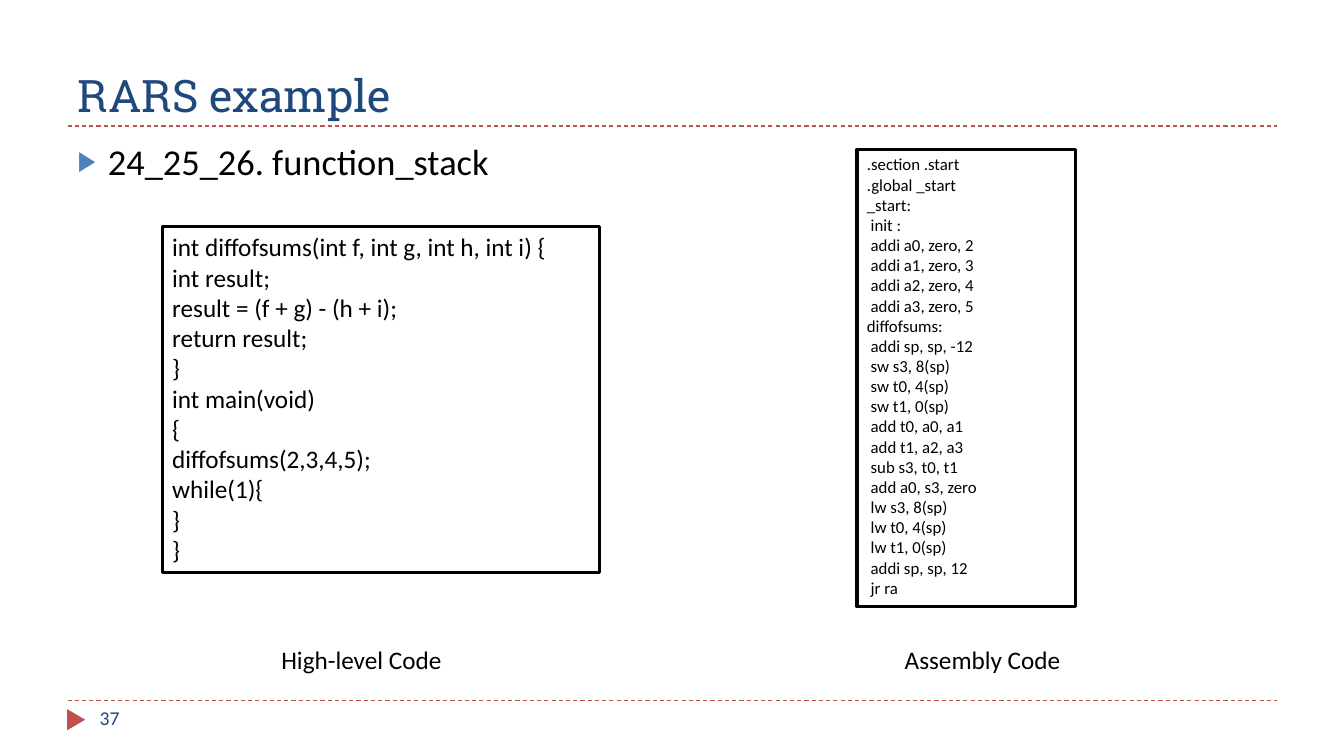
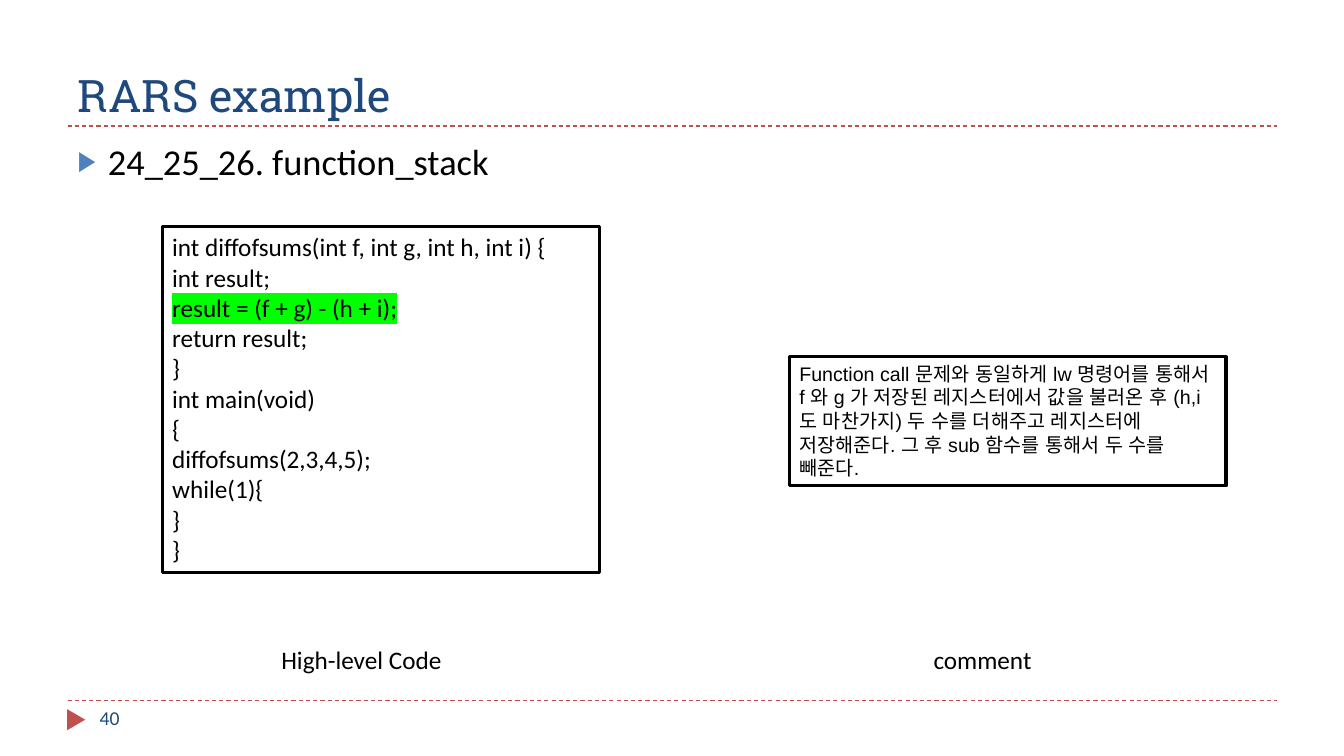
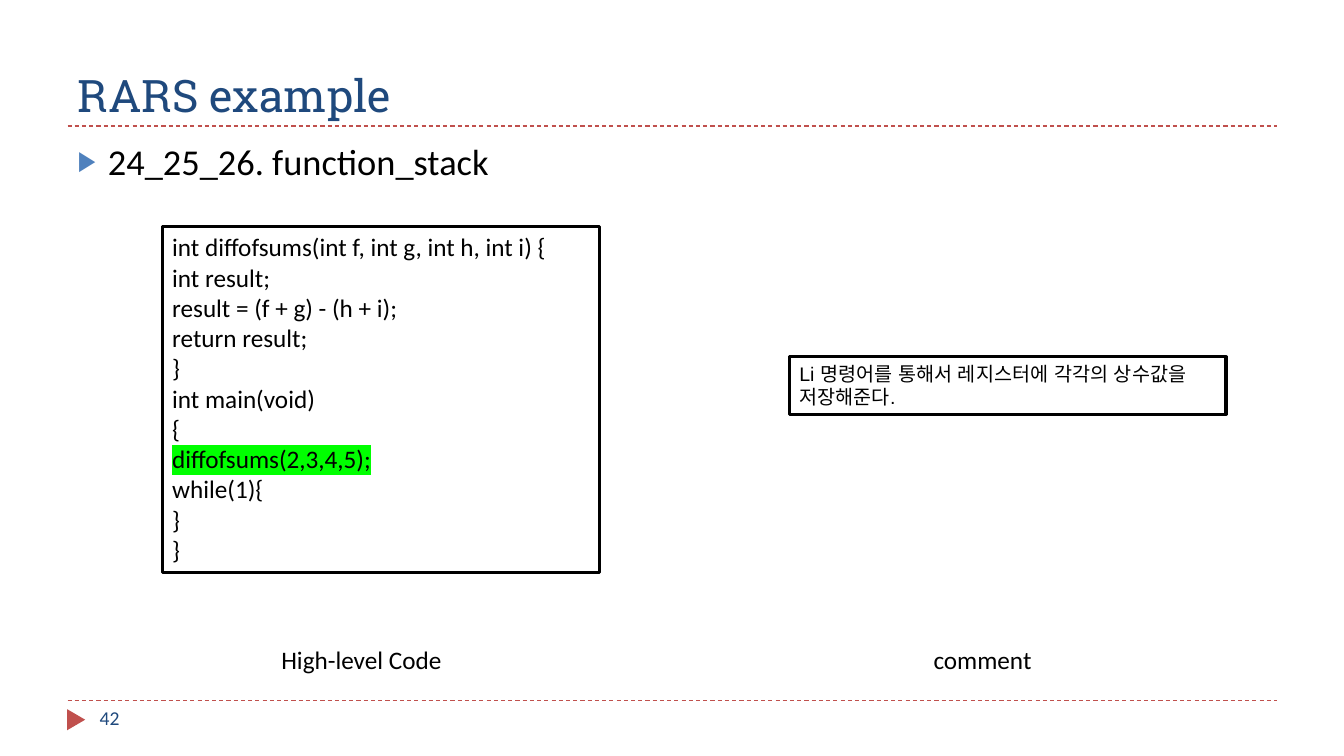
import pptx
import pptx.util
import pptx.dml.color
import pptx.enum.dml
import pptx.enum.shapes
import pptx.enum.text
import pptx.oxml
import pptx.oxml.ns

Inches = pptx.util.Inches
Pt = pptx.util.Pt
RGBColor = pptx.dml.color.RGBColor
Align = pptx.enum.text.PP_ALIGN
qn = pptx.oxml.ns.qn
NS = pptx.oxml.ns.nsdecls("a")

RED = RGBColor(0xC0, 0x50, 0x4D)
NAVY = RGBColor(0x1F, 0x49, 0x7D)
BLUE = RGBColor(0x4F, 0x81, 0xBD)
BLACK = RGBColor(0, 0, 0)
GREEN = RGBColor(0, 0xFF, 0)

SOURCE = """int diffofsums(int f, int g, int h, int i) {
int result;
result = (f + g) - (h + i);
return result;
}
int main(void)
{
diffofsums(2,3,4,5);
while(1){
}
}"""

ASM = """.section .start
.global _start
_start:
 init :
 addi a0, zero, 2
 addi a1, zero, 3
 addi a2, zero, 4
 addi a3, zero, 5
diffofsums:
 addi sp, sp, -12
 sw s3, 8(sp)
 sw t0, 4(sp)
 sw t1, 0(sp)
 add t0, a0, a1
 add t1, a2, a3
 sub s3, t0, t1
 add a0, s3, zero
 lw s3, 8(sp)
 lw t0, 4(sp)
 lw t1, 0(sp)
 addi sp, sp, 12
 jr ra"""

CALL = (
    "Function call 문제와 동일하게 lw 명령어를 통해서 f 와 g 가 저장된 "
    "레지스터에서 값을 불러온 후 (h,i도 마찬가지) 두 수를 더해주고 "
    "레지스터에 저장해준다. 그 후 sub 함수를 통해서 두 수를 빼준다."
)
LOAD = "Li 명령어를 통해서 레지스터에 각각의 상수값을 저장해준다."

# Page number, marked line, right box (text, place, size, font), right caption
PAGES = [
    ("37", None, (ASM, (8.5, 1.48, 2.17, 4.54), 12, "Calibri"), "Assembly Code"),
    ("40", "result = (f + g) - (h + i);",
     (CALL, (7.83, 3.54, 4.33, 1.28), 14, "Arial"), "comment"),
    ("42", "diffofsums(2,3,4,5);",
     (LOAD, (7.83, 3.54, 4.33, 0.57), 14, "Arial"), "comment"),
]


def write(par, text, size, face, color):
    run = par.add_run()
    run.text = text
    run.font.size = Pt(size)
    run.font.name = face
    run.font.color.rgb = color
    latin = run.font._element.find(qn("a:latin"))
    latin.addnext(pptx.oxml.parse_xml(f'<a:ea {NS} typeface="{face}"/>'))
    return run


def box(slide, text, place, size, face="Calibri", color=BLACK,
        align=Align.LEFT, frame=False, mark=None):
    shape = slide.shapes.add_textbox(*[Inches(n) for n in place])
    body = shape.text_frame
    body.word_wrap = True
    body.auto_size = pptx.enum.text.MSO_AUTO_SIZE.SHAPE_TO_FIT_TEXT
    if frame:
        shape.line.color.rgb = BLACK
        shape.line.width = Pt(2.25)
        body.margin_right = Inches(0.13)
    for num, line in enumerate(text.split("\n")):
        par = body.add_paragraph() if num else body.paragraphs[0]
        par.alignment = align
        run = write(par, line, size, face, color)
        if line == mark:
            fill = run.font._element.find(qn("a:solidFill"))
            fill.addnext(pptx.oxml.parse_xml(
                f'<a:highlight {NS}><a:srgbClr val="{GREEN}"/></a:highlight>'))


deck = pptx.Presentation()
deck.slide_width = Inches(13.33)
deck.slide_height = Inches(7.5)

# Shared layout: title and body places
layout = deck.slide_layouts[1]
for holder, top, height in zip(layout.placeholders, (0.18, 1.33), (1.08, 5.4)):
    holder.left, holder.top = Inches(0.67), Inches(top)
    holder.width, holder.height = Inches(12), Inches(height)

slides = [deck.slides.add_slide(layout) for page in PAGES]

# Shared layout: dashed rules and footer arrow, drawn once and moved there
draw = slides[0].shapes
parts = []
for level in (6.95, 1.25):
    rule = draw.add_connector(
        pptx.enum.shapes.MSO_CONNECTOR.STRAIGHT,
        Inches(0.67), Inches(level), Inches(12.67), Inches(level))
    rule.line.color.rgb = RED
    rule.line.width = Pt(0.75)
    rule.line.dash_style = pptx.enum.dml.MSO_LINE.DASH
    rule._element.spPr.append(pptx.oxml.parse_xml(f"<a:effectLst {NS}/>"))
    parts.append(rule)
arrow = draw.add_shape(
    pptx.enum.shapes.MSO_SHAPE.ISOSCELES_TRIANGLE,
    Inches(0.65), Inches(7.05), Inches(0.21), Inches(0.18))
arrow.rotation = 90
arrow.shadow.inherit = False
arrow.fill.solid()
arrow.fill.fore_color.rgb = RED
arrow.line.fill.background()
parts.append(arrow)
for part in parts:
    layout.shapes.element.append(part._element)

for slide, (page, mark, right, label) in zip(slides, PAGES):
    # Title
    title = slide.shapes.title.text_frame
    title.vertical_anchor = pptx.enum.text.MSO_ANCHOR.BOTTOM
    par = title.paragraphs[0]
    par.alignment = Align.LEFT
    write(par, "RARS example", 32, "Roboto Slab", NAVY)

    # Bulleted topic
    par = slide.placeholders[1].text_frame.paragraphs[0]
    props = par._p.get_or_add_pPr()
    props.set("marL", str(Inches(0.3)))
    props.set("indent", str(-Inches(0.3)))
    for tag in (f'<a:buClr {NS}><a:srgbClr val="{BLUE}"/></a:buClr>',
                f'<a:buSzPct {NS} val="76000"/>',
                f'<a:buFont {NS} typeface="Arial"/>',
                f'<a:buChar {NS} char="▶"/>'):
        props.append(pptx.oxml.parse_xml(tag))
    par.space_before = Pt(0)
    write(par, "24_25_26. function_stack", 26, "Calibri", BLACK)

    # Page number
    box(slide, page, (0.89, 6.95, 2.89, 0.4), 14, color=NAVY)

    # Code on the left, assembly or comment on the right
    box(slide, SOURCE, (1.61, 2.25, 4.34, 3.43), 18, frame=True, mark=mark)
    box(slide, *right, frame=True)

    # Captions
    for left, text in ((1.42, "High-level Code"), (7.58, label)):
        box(slide, text, (left, 6.34, 4.33, 0.4), 18, align=Align.CENTER)

deck.save("out.pptx")
